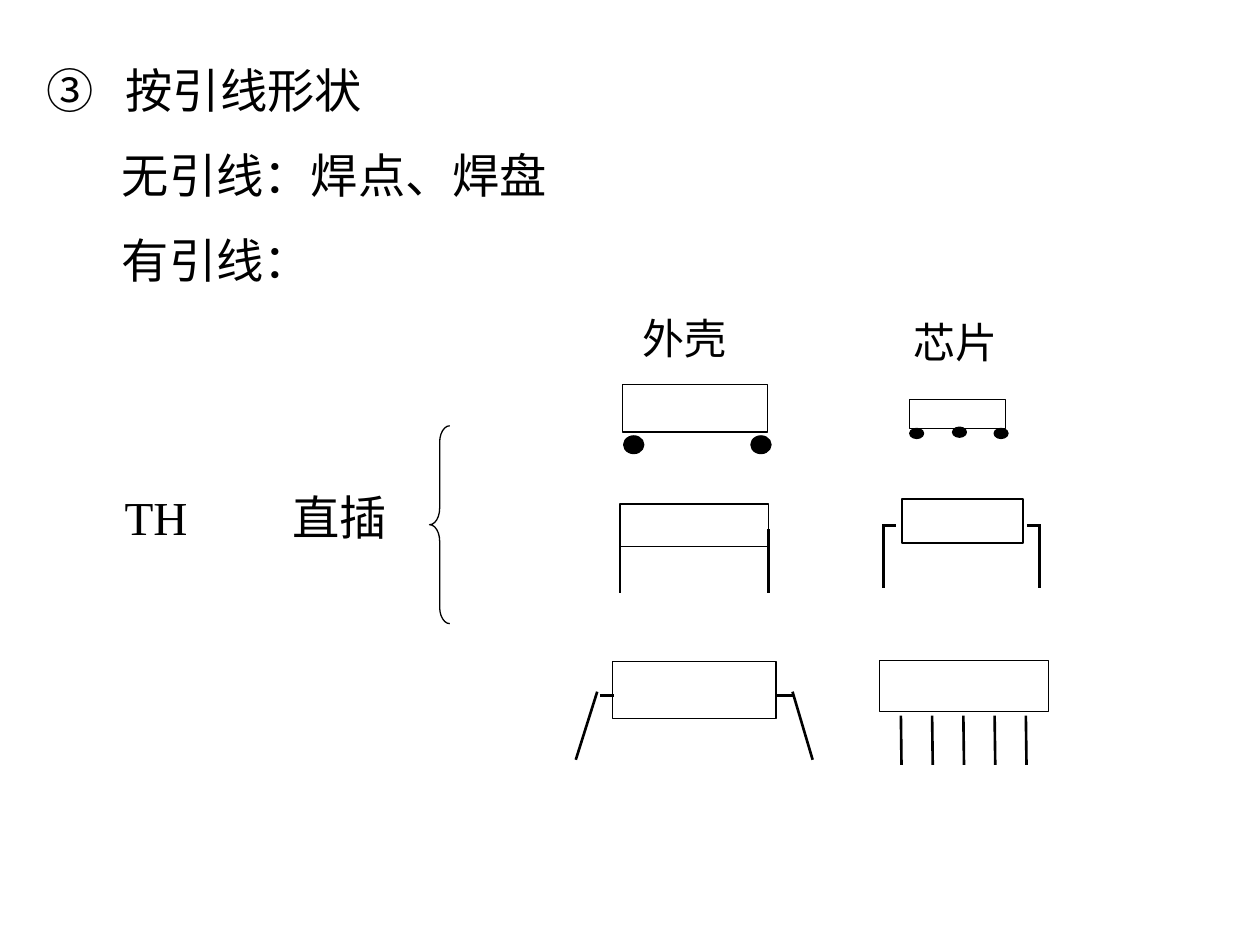
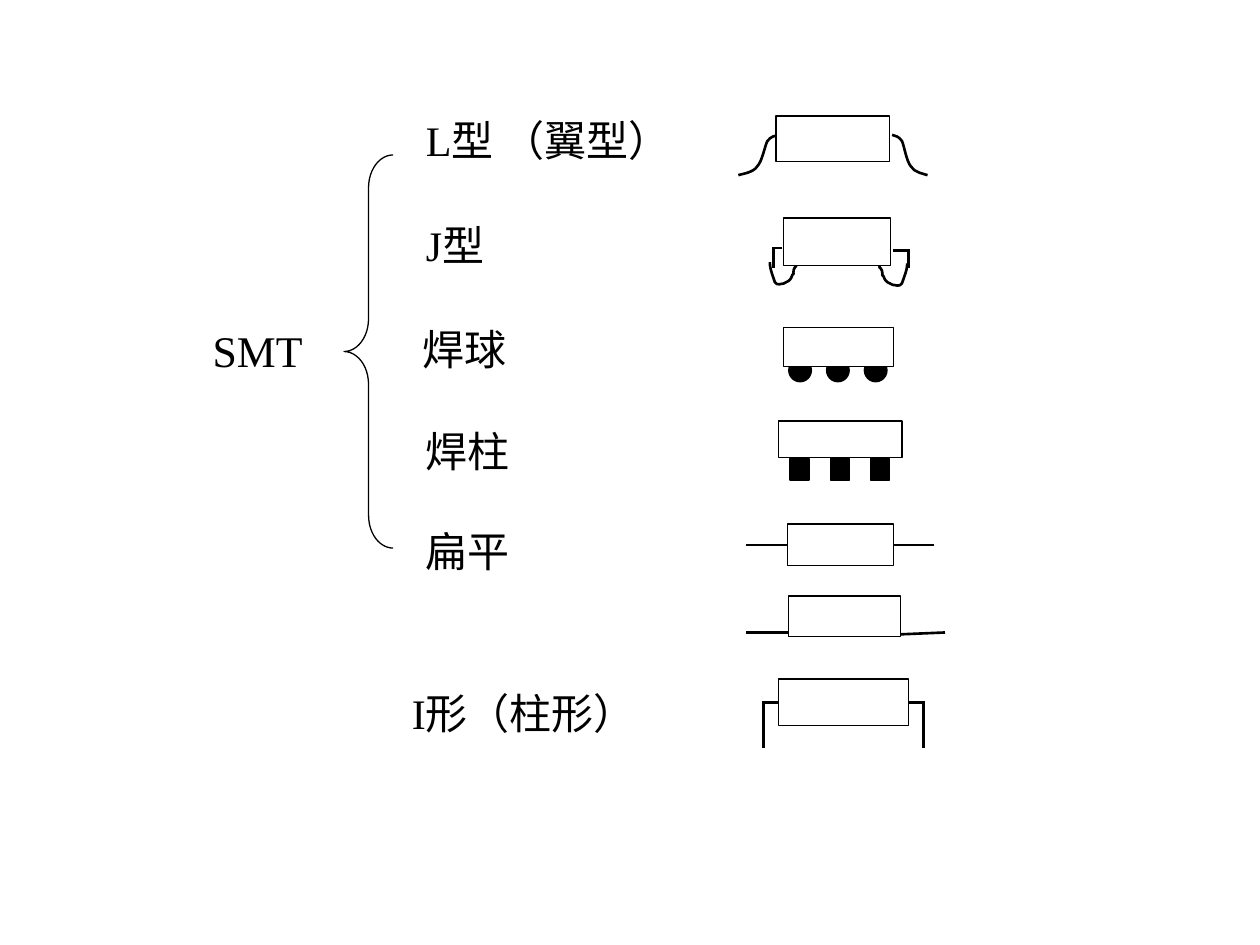
from itertools import pairwise

from lxml import etree
from pptx import Presentation
from pptx import util as u
from pptx.dml.color import RGBColor
from pptx.enum import lang, shapes, text
from pptx.oxml import ns

GULL = [(0, 0), (-0.3, 0.1), (-0.6, 0.1), (-0.9, 0.5), (-1.1, 0.9),
        (-1.3, 2.1), (-1.7, 2.5), (-2, 3), (-2.9, 3.1), (-3.2, 3.2)]
HOOK = [(0, 0), (0, 0.1), (0, 0.2), (-0.1, 0.2), (-0.1, 0.3), (-0.2, 0.3),
        (-0.2, 0.4), (-0.3, 0.9), (-0.1, 0.7), (-0.3, 0.8), (-0.5, 1.4),
        (-0.7, 1.3), (-1, 1.5), (-1.2, 1.5), (-1.5, 1.7), (-1.7, 1.4),
        (-1.8, 1.2), (-1.8, 1), (-1.9, 0.8), (-2, 0.5), (-2.1, 0.2), (-2.1, -0.2)]


def paint(code):
    return RGBColor.from_string(code)


class Deck:
    """Draws black line art on slides split into 100 columns and 75 rows."""

    font, ink, paper = "Times New Roman", "000000", "FFFFFF"
    thin, thick = u.Pt(0.75), u.Pt(1.5)

    def __init__(self):
        self.show = Presentation()
        self.show.slide_width, self.show.slide_height = u.Inches(10), u.Inches(7.5)
        self.col = self.show.slide_width / 100
        self.row = self.show.slide_height / 75

    def page(self):
        self.items = self.show.slides.add_slide(self.show.slide_layouts[6]).shapes

    def spot(self, x, y):
        return round(x * self.col), round(y * self.row)

    def style(self, item, fill, width):
        item.shadow.inherit = False
        if fill:
            item.fill.solid()
            item.fill.fore_color.rgb = paint(fill)
        else:
            item.fill.background()
        item.line.color.rgb = paint(self.ink)
        item.line.width = width
        return item

    def form(self, kind, x, y, w, h, fill):
        item = self.items.add_shape(kind, *self.spot(x, y), *self.spot(w, h))
        return self.style(item, fill, self.thin)

    def box(self, x, y, w, h):
        return self.form(shapes.MSO_SHAPE.RECTANGLE, x, y, w, h, self.paper)

    def post(self, x, y, w, h):
        return self.form(shapes.MSO_SHAPE.RECTANGLE, x, y, w, h, self.ink)

    def ball(self, x, y, w, h):
        return self.form(shapes.MSO_SHAPE.FLOWCHART_CONNECTOR, x, y, w, h, self.ink)

    def brace(self, x, y, w, h):
        item = self.form(shapes.MSO_SHAPE.LEFT_BRACE, x, y, w, h, None)
        item.adjustments[0] = h / w / 12

    def wire(self, *spots, body=None, side=None):
        for step, (start, end) in enumerate(pairwise(spots)):
            line = self.items.add_connector(
                shapes.MSO_CONNECTOR.STRAIGHT, *self.spot(*start), *self.spot(*end))
            line.line.color.rgb = paint(self.ink)
            line.line.width = self.thick
            etree.SubElement(line._element.spPr, ns.qn("a:effectLst"))
            if body is not None and step == 0:
                line.begin_connect(body, side)

    def trace(self, first, *rest):
        pen = self.items.build_freeform(*self.spot(*first))
        pen.add_line_segments([self.spot(*knot) for knot in rest], close=False)
        return self.style(pen.convert_to_shape(), None, self.thick)

    def bend(self, x, y, steps, scale=1):
        item = self.trace(*[(x + dx * scale, y + dy) for dx, dy in steps])
        lines = list(item._element.iter(ns.qn("a:lnTo")))
        for i in range(0, len(lines), 3):
            curve = etree.Element(ns.qn("a:cubicBezTo"))
            lines[i].addprevious(curve)
            for line in lines[i:i + 3]:
                curve.append(line[0])
                line.getparent().remove(line)

    def note(self, x, y, w, h, words, size=24, pad=(1, 0.5), mid=False, space=1, tabs=()):
        frame = self.items.add_textbox(*self.spot(x, y), *self.spot(w, h)).text_frame
        frame.word_wrap = True
        frame.margin_left = frame.margin_right = round(pad[0] * self.col)
        frame.margin_top = frame.margin_bottom = round(pad[1] * self.row)
        frame.vertical_anchor = text.MSO_ANCHOR.MIDDLE if mid else text.MSO_ANCHOR.TOP
        frame.text = words
        for para, tab in zip(frame.paragraphs, tabs):
            inset = round(tab * self.col)
            props = para._p.get_or_add_pPr()
            props.set("marL", str(inset))
            props.set("indent", str(-inset if "\t" in para.text else 0))
        for para in frame.paragraphs:
            para.line_spacing = space
            for run in para.runs:
                run.font.name = self.font
                run.font.size = u.Pt(size)
                run.font.color.rgb = paint(self.ink)
                run.font.language_id = lang.MSO_LANGUAGE_ID.SIMPLIFIED_CHINESE


def through(deck):
    deck.page()
    deck.note(2.7, 2.1, 56.3, 21.3, "③\t按引线形状\n无引线：焊点、焊盘\n有引线：",
              size=27, mid=True, space=1.5, tabs=(6.3, 6, 6))

    deck.box(69.8, 52.4, 13.4, 4.1)
    for pin in range(5):
        x = 71.5 + 2.48 * pin
        deck.wire((x, 56.8), (x + 0.05, 60.7))

    for x in (49.5, 59.6):
        deck.ball(x, 34.6, 1.6, 1.4)
    deck.box(49.4, 30.5, 11.5, 3.8)

    deck.box(49.2, 40, 11.8, 3.4)
    for x in (61, 49.2):
        deck.wire((x, 42), (x, 47.1))
    deck.box(71.6, 39.6, 9.6, 3.5)
    for near, far, leg in ((81.5, 82.6, 82.5), (71.1, 70, 70.1)):
        deck.wire((near, 41.7), (far, 41.7))
        deck.wire((leg, 41.8), (leg, 46.7))

    deck.box(48.6, 52.5, 13, 4.5)
    for near, far, knee, foot in ((61.6, 62.9, 62.9, 64.5), (48.7, 47.6, 47.4, 45.7)):
        deck.wire((near, 55.2), (far, 55.2))
        deck.trace((knee, 54.9), (foot, 60.3))

    deck.box(72.2, 31.7, 7.6, 2.3)
    for x, y in ((72.2, 34), (78.9, 34), (75.6, 33.9)):
        deck.ball(x, y, 1.1, 0.8)

    deck.brace(34.1, 33.8, 1.6, 15.7)
    deck.note(8.9, 36, 37, 10, "TH\t直插", size=27, mid=True, tabs=(13.3,))
    deck.note(50, 24.3, 9.5, 5, "外壳")
    deck.note(71.5, 24.6, 9.5, 5, "芯片")


def surface(deck):
    deck.page()
    deck.brace(27.3, 12.3, 3.9, 31.2)
    for x, y, w, h, words in (
            (33.6, 9, 20, 4.5, "L型 （翼型）"), (33.6, 17.3, 6.3, 4.7, "J型"),
            (33.3, 25.6, 9.7, 3.7, "焊球"), (33.6, 33.7, 9.7, 4.3, "焊柱"),
            (33.6, 41.6, 7.9, 3.9, "扁平"), (32.5, 54.5, 18.4, 4, "I形（柱形）")):
        deck.note(x, y, w, h, words, pad=(0.2, 0.1))
    deck.note(15.9, 25.2, 9.4, 4.7, "SMT", size=25)

    for pin in range(3):
        deck.ball(68.6 - 3 * pin, 28.5, 1.8, 1.8)
    deck.box(62.2, 26, 8.7, 3.1)

    for near, far, leg, y in ((70.9, 72.2, 72.1, 19.9), (62.1, 61.3, 61.4, 19.7)):
        deck.wire((near, y), (far, y))
        deck.wire((leg, y + 0.1), (leg, 21.3))
    deck.bend(63.2, 21, HOOK)
    deck.bend(69.8, 21.1, HOOK, -1.05)
    deck.box(62.2, 17.3, 8.5, 3.8)

    for pin in range(3):
        deck.post(62.7 + 3.2 * pin, 36.4, 1.5, 1.7)
    deck.box(61.8, 33.4, 9.8, 2.9)

    deck.bend(61.8, 10.7, GULL)
    deck.bend(70.8, 10.7, GULL, -0.88)
    deck.box(61.6, 9.2, 9, 3.6)

    flat = deck.box(62.5, 41.6, 8.4, 3.3)
    for edge, far, side in ((62.5, 59.2, 1), (70.9, 74.1, 3)):
        deck.wire((edge, 43.25), (far, 43.25), body=flat, side=side)

    deck.wire((64, 50.2), (59.2, 50.2))
    deck.wire((75, 50.2), (70.2, 50.4))
    deck.box(62.6, 47.3, 8.9, 3.2)

    stem = deck.box(61.8, 53.9, 10.3, 3.7)
    for edge, far, leg, side in ((72.1, 73.4, 73.3, 3), (61.8, 60.5, 60.6, 1)):
        deck.wire((edge, 55.75), (far, 55.75), body=stem, side=side)
        deck.wire((leg, 55.85), (leg, 59.4))


def main():
    deck = Deck()
    through(deck)
    surface(deck)
    deck.show.save("out.pptx")


if __name__ == "__main__":
    main()
